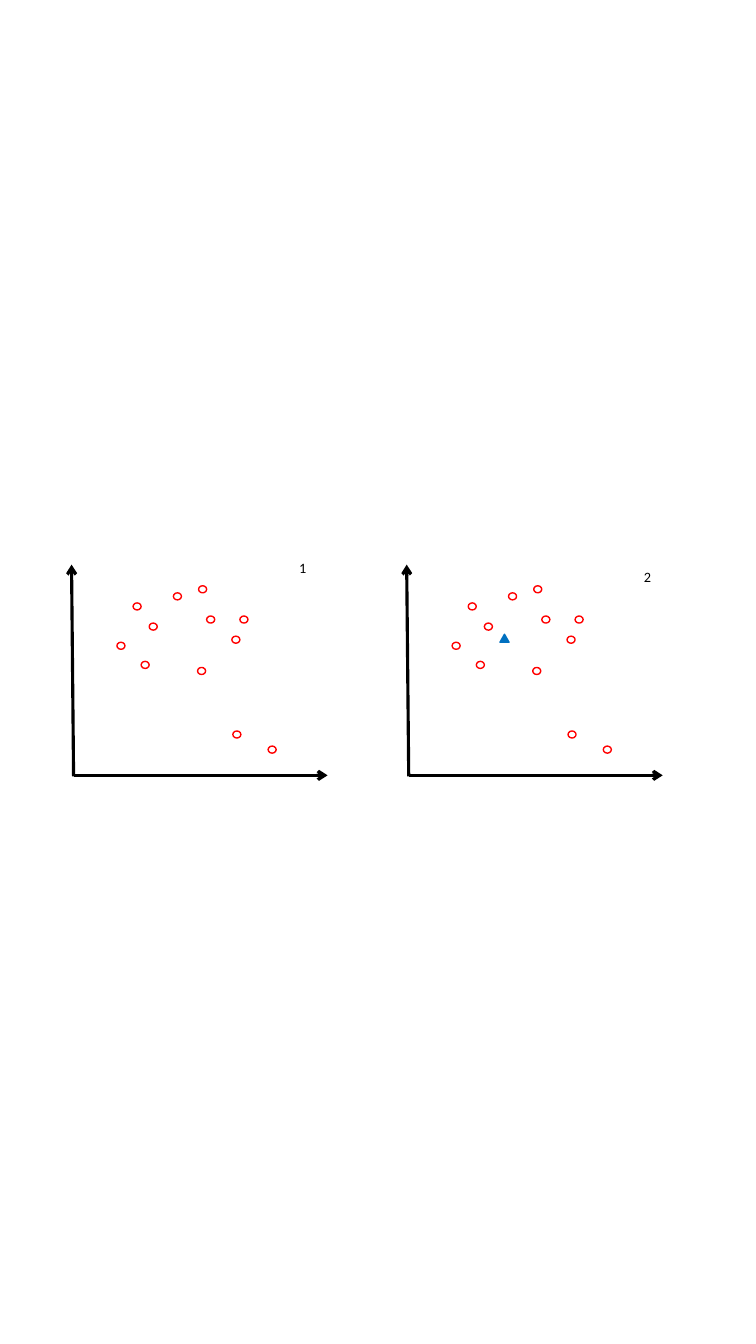
from lxml import etree
from pptx import Presentation
from pptx.dml.color import RGBColor
from pptx.enum import shapes, text
from pptx.oxml.ns import qn
from pptx.util import Inches, Pt


def color(code):
    return RGBColor.from_string(code)


def label(words, x, y, size=10.2, font="Calibri", ink="000000"):
    box = slide.shapes.add_textbox(Inches(x), Inches(y), Inches(0.27), Inches(0.27))
    frame = box.text_frame
    frame.word_wrap = False
    frame.auto_size = text.MSO_AUTO_SIZE.SHAPE_TO_FIT_TEXT
    run = frame.paragraphs[0].add_run()
    run.text = words
    run.font.size = Pt(size)
    run.font.name = font
    run.font.color.rgb = color(ink)


deck = Presentation()
deck.slide_width, deck.slide_height = Inches(7.5), Inches(13.33)
slide = deck.slides.add_slide(deck.slide_layouts[6])

# Positions in the first plot; the second is shifted right by STEP
STEP = 3.325
AXES = [(0.73, 7.7, 0.71, 5.6), (0.73, 7.69, 3.25, 7.69)]
DOTS = [(2.38, 6.11), (1.32, 5.98), (1.72, 5.88), (2.3, 6.31),
        (1.96, 6.62), (1.97, 5.81), (2.31, 7.25), (1.48, 6.18),
        (2.66, 7.4), (1.16, 6.37), (1.4, 6.56), (2.05, 6.11)]
KIND = shapes.MSO_SHAPE

for plot in range(2):
    shift = plot * STEP
    group = slide.shapes.add_group_shape()

    # Axes with arrowheads
    for x1, y1, x2, y2 in AXES:
        axis = group.shapes.add_connector(
            shapes.MSO_CONNECTOR.STRAIGHT,
            Inches(x1 + shift), Inches(y1), Inches(x2 + shift), Inches(y2))
        axis.line.color.rgb = color("000000")
        axis.line.width = Pt(2.25)
        etree.SubElement(axis.line._get_or_add_ln(), qn("a:tailEnd"), type="arrow")
        etree.SubElement(axis._element.spPr, qn("a:effectLst"))

    # Data points, and the centre marker in the second plot
    marks = [(KIND.OVAL, x + shift, y, 0.08, 0.07, "FF0000") for x, y in DOTS]
    if plot == 1:
        marks.append((KIND.ISOSCELES_TRIANGLE, 4.96, 6.29, 0.09, 0.08, "0070C0"))
    for kind, x, y, wide, high, ink in marks:
        mark = group.shapes.add_shape(
            kind, Inches(x), Inches(y), Inches(wide), Inches(high))
        mark.shadow.inherit = False
        mark.line.color.rgb = color(ink)
        mark.line.width = Pt(1)
        if kind == KIND.OVAL:
            mark.fill.background()
        else:
            mark.fill.solid()
            mark.fill.fore_color.rgb = color(ink)

# Plot numbers
label("1", 2.87, 5.5)
label("2", 6.29, 5.59)

deck.save("out.pptx")
